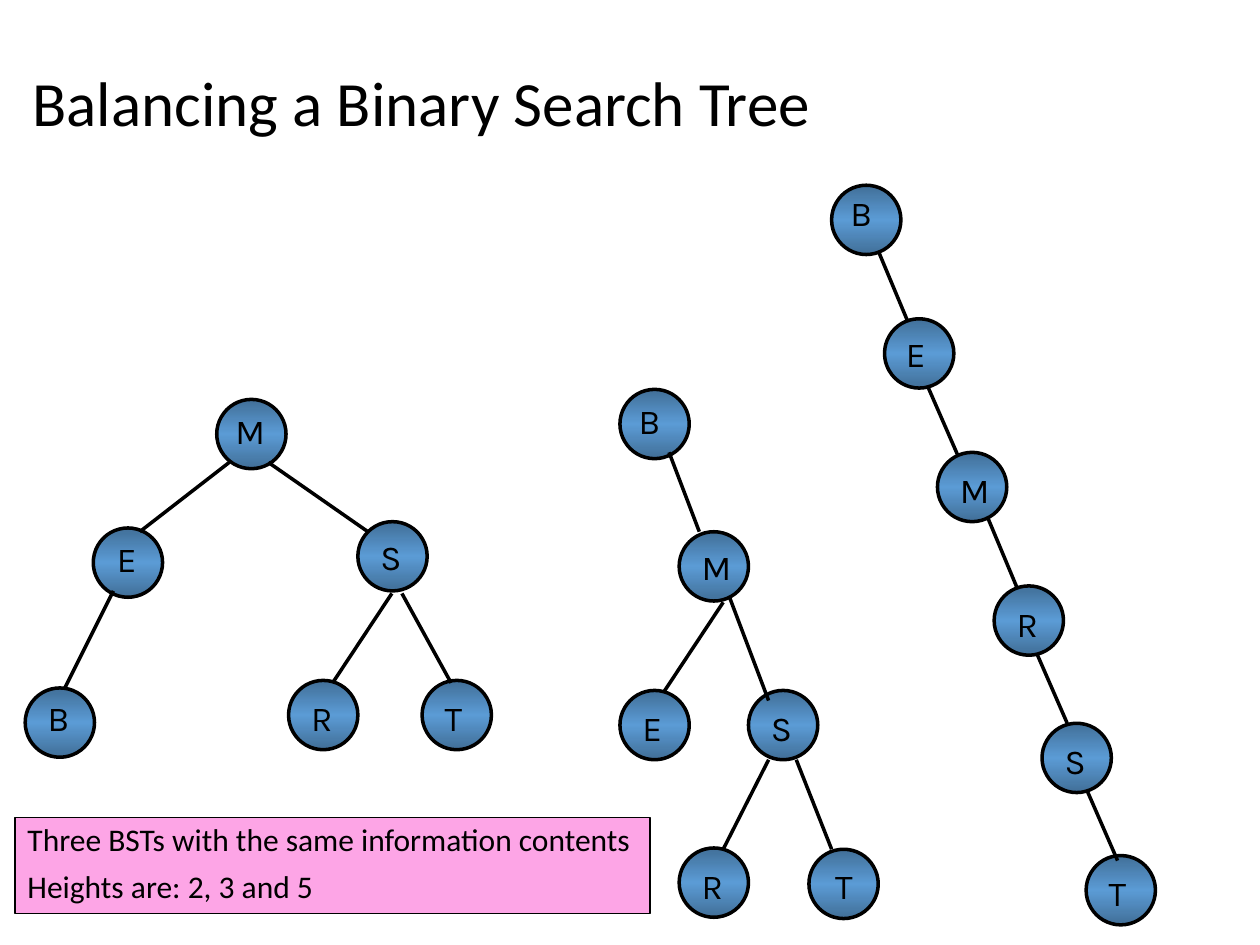
import copy

import pptx
import pptx.dml.color
import pptx.enum.shapes
import pptx.enum.text
import pptx.oxml.ns
import pptx.util
from pptx.util import Inches

NODE = 0.55
BLACK = "000000"
EDGE_BLUE, MID_BLUE = "416F98", "5B9BD5"

# Nodes: letter, left, top, label shift right, label shift down.
# Edges: x1, y1, x2, y2. All are inches from the corner of the tree.
BALANCED = {
    "nodes": [("M", 1.52, 0, 0.05, 0.03), ("E", 0.54, 1.02, 0.09, 0.03),
              ("S", 2.64, 0.97, 0.08, 0.06), ("B", 0, 2.29, 0.08, 0.02),
              ("R", 2.09, 2.23, 0.08, 0.08), ("T", 3.15, 2.23, 0.08, 0.08)],
    "edges": [(1.62, 0.5, 0.91, 1.05), (1.93, 0.5, 2.72, 1.05),
              (0.7, 1.52, 0.31, 2.3), (2.91, 1.54, 2.44, 2.25),
              (2.99, 1.54, 3.38, 2.25)],
}
PARTIAL = {
    "nodes": [("B", 0, 0, 0.05, 0.03), ("M", 0.47, 1.13, 0.08, 0.06),
              ("E", 0, 2.39, 0.08, 0.08), ("S", 1.02, 2.39, 0.08, 0.08),
              ("R", 0.47, 3.64, 0.08, 0.08), ("T", 1.5, 3.65, 0.11, 0.07)],
    "edges": [(0.39, 0.5, 0.63, 1.13), (0.82, 1.69, 0.35, 2.4),
              (0.87, 1.65, 1.18, 2.47), (1.18, 2.94, 0.82, 3.65),
              (1.4, 2.94, 1.68, 3.65)],
}
CHAIN = {
    "nodes": [("B", 0, 0, 0.05, 0), ("E", 0.42, 1.06, 0.07, 0.06),
              ("M", 0.84, 2.12, 0.08, 0.08), ("R", 1.29, 3.18, 0.08, 0.08),
              ("S", 1.67, 4.27, 0.08, 0.08), ("T", 2.02, 5.32, 0.08, 0.08)],
    "edges": [(0.37, 0.52, 0.6, 1.07), (0.76, 1.59, 1, 2.14),
              (1.24, 2.64, 1.47, 3.19), (1.63, 3.72, 1.87, 4.27),
              (2.03, 4.81, 2.27, 5.36)],
}


def rgb(value):
    """Turn a hex string into a colour."""
    return pptx.dml.color.RGBColor.from_string(value)


def set_line(shape, width):
    """Give a shape or connector a black line."""
    shape.line.color.rgb = rgb(BLACK)
    shape.line.width = pptx.util.Pt(width)


def format_text(p, font, size):
    """Set the font of every run in a paragraph."""
    for r in p.runs:
        r.font.name = font
        r.font.size = pptx.util.Pt(size)
        r.font.color.rgb = rgb(BLACK)


def add_title(s, left, top, width, height):
    """Place the slide title."""
    tf = s.shapes.add_textbox(Inches(left), Inches(top), Inches(width), Inches(height)).text_frame
    tf.word_wrap = True
    tf.vertical_anchor = pptx.enum.text.MSO_ANCHOR.MIDDLE
    p = tf.paragraphs[0]
    p.text = "Balancing a Binary Search Tree"
    p.line_spacing = 0.9
    format_text(p, "Calibri", 36)


def add_summary(s, left, top, width, height):
    """Place the pink box that compares the trees."""
    sp = s.shapes.add_shape(pptx.enum.shapes.MSO_SHAPE.RECTANGLE,
                            Inches(left), Inches(top), Inches(width), Inches(height))
    sp.shadow.inherit = False
    sp.fill.solid()
    sp.fill.fore_color.rgb = rgb("FDA5E6")
    set_line(sp, 0.75)
    tf = sp.text_frame
    tf.word_wrap = True
    tf.vertical_anchor = pptx.enum.text.MSO_ANCHOR.TOP
    tf.text = "Three BSTs with the same information contents\nHeights are: 2, 3 and 5"
    for i, p in enumerate(tf.paragraphs):
        p.alignment = pptx.enum.text.PP_ALIGN.LEFT
        p.line_spacing = 0.9
        p.space_before = pptx.util.Pt(7.5 if i else 0)
        pPr = p._p.get_or_add_pPr()
        pPr.set("marL", str(Inches(0.19)))
        pPr.set("indent", str(Inches(-0.19)))
        format_text(p, "Calibri", 18)


def add_node(s, left, top, letter, dx, dy):
    """Place one shaded circle and its letter."""
    sp = s.shapes.add_shape(pptx.enum.shapes.MSO_SHAPE.OVAL,
                            Inches(left), Inches(top), Inches(NODE), Inches(NODE))
    sp.shadow.inherit = False
    set_line(sp, 2)
    sp.fill.gradient()
    sp.fill.gradient_angle = 90
    gs = sp._element.spPr.find(".//" + pptx.oxml.ns.qn("a:gs"))
    gs.addnext(copy.deepcopy(gs))
    shades = [(0, EDGE_BLUE), (0.5, MID_BLUE), (1, EDGE_BLUE)]
    for stop, (position, color) in zip(sp.fill.gradient_stops, shades):
        stop.position = position
        stop.color.rgb = rgb(color)

    label = s.shapes.add_textbox(Inches(left + dx), Inches(top + dy), Inches(0.39), Inches(0.43))
    tf = label.text_frame
    tf.word_wrap = True
    tf.auto_size = pptx.enum.text.MSO_AUTO_SIZE.SHAPE_TO_FIT_TEXT
    tf.text = letter
    format_text(tf.paragraphs[0], "Karla", 20)


def add_edge(s, x1, y1, x2, y2):
    """Place one branch between two nodes."""
    edge = s.shapes.add_connector(pptx.enum.shapes.MSO_CONNECTOR.STRAIGHT,
                                  Inches(x1), Inches(y1), Inches(x2), Inches(y2))
    set_line(edge, 2)
    edge._element.spPr.append(pptx.oxml.parse_xml(
        "<a:effectLst %s/>" % pptx.oxml.ns.nsdecls("a")))


def add_tree(s, left, top, tree):
    """Place the nodes and edges of one tree from its top left corner."""
    for letter, x, y, dx, dy in tree["nodes"]:
        add_node(s, left + x, top + y, letter, dx, dy)
    for x1, y1, x2, y2 in tree["edges"]:
        add_edge(s, left + x1, top + y1, left + x2, top + y2)


def main():
    """Build the slide and save it."""
    prs = pptx.Presentation()
    prs.slide_width, prs.slide_height = Inches(10), Inches(7.5)
    s = prs.slides.add_slide(prs.slide_layouts[6])
    add_title(s, 0.16, 0.04, 8.52, 1.6)
    add_summary(s, 0.12, 6.49, 5.04, 0.76)
    add_tree(s, 0.2, 3.17, BALANCED)
    add_tree(s, 4.92, 3.09, PARTIAL)
    add_tree(s, 6.6, 1.47, CHAIN)
    prs.save("out.pptx")


if __name__ == "__main__":
    main()
